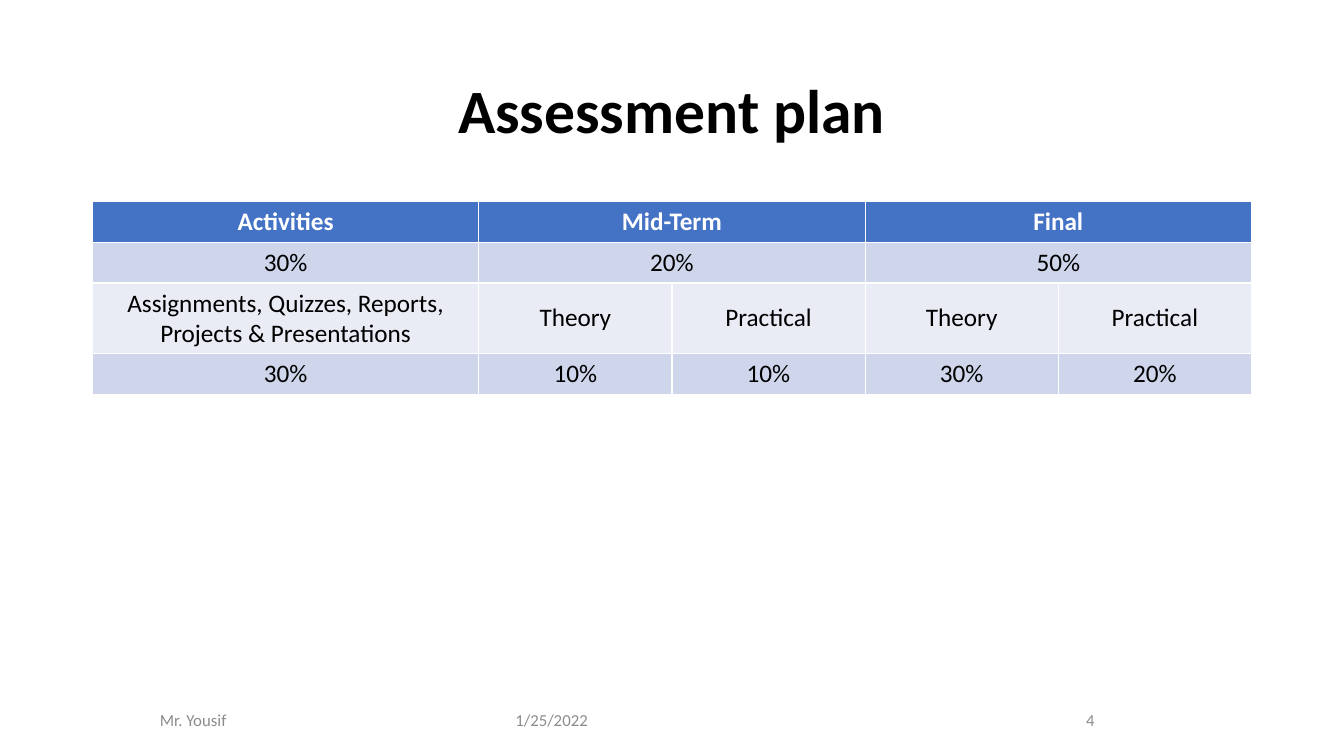
from pptx import Presentation
from pptx.dml.color import RGBColor
from pptx.enum.text import MSO_ANCHOR as Anchor, MSO_AUTO_SIZE as AutoSize, PP_ALIGN as Align
from pptx.util import Pt

WHITE = RGBColor(0xFF, 0xFF, 0xFF)
BLACK = RGBColor(0, 0, 0)
GREY = RGBColor(0x8C, 0x8C, 0x8C)
HEADER_BLUE = RGBColor(0x44, 0x72, 0xC4)
BAND_DARK = RGBColor(0xCF, 0xD5, 0xEA)
BAND_LIGHT = RGBColor(0xE9, 0xEB, 0xF5)

LEFT, WIDTH = 66, 828
COLUMN_WIDTHS = [WIDTH / 3] + [WIDTH / 6] * 4
ROW_HEIGHTS = [29.2, 29.2, 50.4, 29.2]
ROW_FILLS = [HEADER_BLUE, BAND_DARK, BAND_LIGHT, BAND_DARK]
ASSESSMENT = [
    ["Activities", "Mid-Term", None, "Final", None],
    ["30%", "20%", None, "50%", None],
    ["Assignments, Quizzes, Reports, Projects & Presentations",
     "Theory", "Practical", "Theory", "Practical"],
    ["30%", "10%", "10%", "30%", "20%"],
]


def write(frame, text, size, color, align, bold=False):
    frame.word_wrap = True
    frame.vertical_anchor = Anchor.MIDDLE
    para = frame.paragraphs[0]
    para.alignment = align
    span = para.add_run()
    span.text = text
    span.font.color.rgb = color
    for name, value in {"name": "Calibri", "size": Pt(size), "bold": bold}.items():
        setattr(span.font, name, value)
    return para


def add_title(page, text):
    title = page.shapes.title
    place = {"left": LEFT, "top": 28.75, "width": WIDTH, "height": 104.4}
    for name, value in place.items():
        setattr(title, name, Pt(value))
    title.fill.solid()
    title.fill.fore_color.rgb = WHITE
    title.text_frame.auto_size = AutoSize.NONE
    write(title.text_frame, text, 44, BLACK, Align.CENTER, True).line_spacing = 0.9


def add_footer(page, text, left, width, align):
    box = page.shapes.add_textbox(Pt(left), Pt(500), Pt(width), Pt(28.75))
    write(box.text_frame, text, 12, GREY, align)


def add_assessment_table(page):
    """Add the table; a None entry extends the cell to its left."""
    table = page.shapes.add_table(
        len(ASSESSMENT), len(COLUMN_WIDTHS),
        Pt(LEFT), Pt(143.75), Pt(WIDTH), Pt(sum(ROW_HEIGHTS))).table
    for column, width in zip(table.columns, COLUMN_WIDTHS):
        column.width = Pt(width)
    for r, texts in enumerate(ASSESSMENT):
        table.rows[r].height = Pt(ROW_HEIGHTS[r])
        is_header = r == 0
        for c, text in enumerate(texts):
            cell = table.cell(r, c)
            cell.fill.solid()
            cell.fill.fore_color.rgb = ROW_FILLS[r]
            if text is None:
                table.cell(r, c - 1).merge(cell)
                continue
            cell.vertical_anchor = Anchor.MIDDLE
            write(cell.text_frame, text, 18, WHITE if is_header else BLACK,
                  Align.CENTER, is_header)


def main():
    deck = Presentation()
    deck.slide_width, deck.slide_height = Pt(960), Pt(540)
    page = deck.slides.add_slide(deck.slide_layouts[5])
    add_footer(page, "1/25/2022", 361, 129, Align.LEFT)
    add_footer(page, "Mr. Yousif", LEFT, 144, Align.CENTER)
    add_footer(page, "4", 573, 216, Align.RIGHT)
    add_title(page, "Assessment plan")
    add_assessment_table(page)
    deck.save("out.pptx")


if __name__ == "__main__":
    main()
